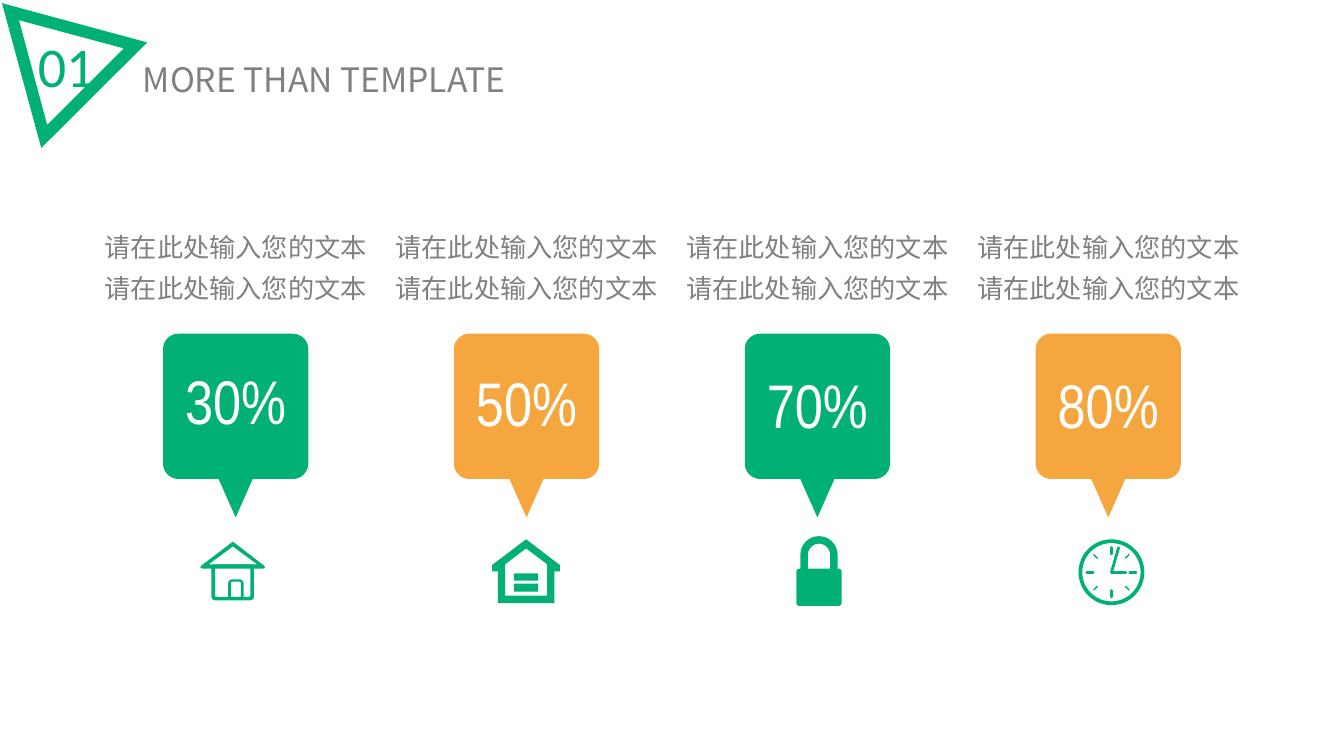
from dataclasses import dataclass
from math import cos, radians, sin

from lxml import etree
from pptx import Presentation
from pptx.dml.color import RGBColor
from pptx.enum.shapes import MSO_CONNECTOR, MSO_SHAPE
from pptx.enum.text import MSO_ANCHOR, MSO_AUTO_SIZE, PP_ALIGN
from pptx.oxml.ns import qn
from pptx.util import Cm, Pt

STRAIGHT = MSO_CONNECTOR.STRAIGHT
DONUT = MSO_SHAPE.DONUT
CENTER = PP_ALIGN.CENTER
TOP, MIDDLE = MSO_ANCHOR.TOP, MSO_ANCHOR.MIDDLE
GROW = MSO_AUTO_SIZE.SHAPE_TO_FIT_TEXT

Point = tuple[float, float]
Contour = list[Point]


@dataclass(frozen=True)
class Theme:
    green: RGBColor = RGBColor(0x00, 0xB0, 0x75)
    orange: RGBColor = RGBColor(0xF5, 0xA6, 0x3E)
    gray: RGBColor = RGBColor(0x80, 0x80, 0x80)
    white: RGBColor = RGBColor(0xFF, 0xFF, 0xFF)
    cjk_font: str = "Noto Sans CJK SC"
    percent_font: str = "Arial Narrow"
    number_font: str = "Calibri"
    percent_size: float = 44
    number_size: float = 40
    title_size: float = 24
    caption_size: float = 18.7


@dataclass(frozen=True)
class Card:
    percent: str
    percent_top: float
    color: RGBColor


THEME = Theme()
CARDS = [
    Card("30%", 9.02, THEME.green),
    Card("50%", 9.07, THEME.orange),
    Card("70%", 9.12, THEME.green),
    Card("80%", 9.12, THEME.orange),
]
CAPTION = ["请在此处输入您的文本"] * 2
FIRST_CENTER, PITCH = 5.94, 7.33
CARD_TOP, CARD_SIDE, CARD_RADIUS = 8.41, 3.66, 0.39
TAIL_HALF, TAIL_HEIGHT = 0.43, 0.97


def arc(x: float, y: float, radius: float, start: int, end: int, steps: int = 12) -> Contour:
    """Points on a circle; angles in degrees, clockwise from the right."""
    angles = [radians(start + (end - start) * i / steps) for i in range(steps + 1)]
    return [(x + radius * cos(a), y + radius * sin(a)) for a in angles]


def rounded_box(left: float, top: float, width: float, height: float, radius: float) -> Contour:
    """Outline that runs clockwise from the bottom left to the bottom right."""
    x1, x2 = left + radius, left + width - radius
    y1, y2 = top + radius, top + height - radius
    return (arc(x1, y2, radius, 90, 180) + arc(x1, y1, radius, 180, 270)
            + arc(x2, y1, radius, 270, 360) + arc(x2, y2, radius, 0, 90))


def box(left: float, top: float, right: float, bottom: float) -> Contour:
    return [(left, top), (right, top), (right, bottom), (left, bottom)]


def add_outline(slide, color: RGBColor, *contours: Contour) -> None:
    """Filled shape; a contour inside another one cuts a hole."""
    paths = [[(Cm(x), Cm(y)) for x, y in contour] for contour in contours]
    builder = slide.shapes.build_freeform(*paths[0][0])
    builder.add_line_segments(paths[0][1:], close=True)
    for points in paths[1:]:
        builder.move_to(*points[0])
        builder.add_line_segments(points[1:], close=True)
    style_fill(builder.convert_to_shape(), color)


def style_fill(shape, color: RGBColor) -> None:
    shape.shadow.inherit = False
    shape.fill.solid()
    shape.fill.fore_color.rgb = color
    shape.line.fill.background()


def add_text(slide, lines: list[str], *, left: float, top: float, width: float,
             height: float, font: str, size: float, color: RGBColor,
             anchor: MSO_ANCHOR = TOP, wrap: bool = True, spacing: float = 1.0) -> None:
    frame = slide.shapes.add_textbox(Cm(left), Cm(top), Cm(width), Cm(height)).text_frame
    frame.word_wrap = wrap
    frame.auto_size = GROW
    frame.vertical_anchor = anchor
    for index, line in enumerate(lines):
        paragraph = frame.add_paragraph() if index else frame.paragraphs[0]
        paragraph.alignment = CENTER
        paragraph.line_spacing = spacing
        run = paragraph.add_run()
        run.text = line
        run.font.size = Pt(size)
        run.font.color.rgb = color
        run.font.name = font
        etree.SubElement(run._r.get_or_add_rPr(), qn("a:ea"), typeface=font)


def add_stroke(slide, start: Point, end: Point, width: float) -> None:
    stroke = slide.shapes.add_connector(
        STRAIGHT, Cm(start[0]), Cm(start[1]), Cm(end[0]), Cm(end[1]))
    stroke.line.color.rgb = THEME.green
    stroke.line.width = Pt(width)
    properties = stroke._element.spPr
    properties.find(qn("a:ln")).set("cap", "rnd")
    etree.SubElement(properties, qn("a:effectLst"))


def draw_header(slide) -> None:
    add_text(slide, ["01"], left=0.69, top=0.66, width=1.96, height=1.96,
             font=THEME.number_font, size=THEME.number_size, color=THEME.green,
             anchor=MIDDLE, wrap=False)
    add_outline(slide, THEME.green,
                [(0.05, 0.08), (3.71, 1.07), (1.04, 3.73)],
                [(0.48, 0.51), (1.19, 3.15), (3.12, 1.22)])
    add_text(slide, ["MORE THAN TEMPLATE"], left=2.06, top=1.35, width=12.22, height=1.3,
             font=THEME.cjk_font, size=THEME.title_size, color=THEME.gray, anchor=MIDDLE)


def draw_card(slide, card: Card, center: float) -> None:
    bottom = CARD_TOP + CARD_SIDE
    tail = [(center + TAIL_HALF, bottom), (center, bottom + TAIL_HEIGHT),
            (center - TAIL_HALF, bottom)]
    body = rounded_box(center - CARD_SIDE / 2, CARD_TOP, CARD_SIDE, CARD_SIDE, CARD_RADIUS)
    add_outline(slide, card.color, body + tail)
    add_text(slide, [card.percent], left=center - 1.64, top=card.percent_top,
             width=3.28, height=2.13, font=THEME.percent_font,
             size=THEME.percent_size, color=THEME.white, wrap=False)
    add_text(slide, CAPTION, left=center - 3.71, top=5.46, width=7.42, height=2.34,
             font=THEME.cjk_font, size=THEME.caption_size, color=THEME.gray, spacing=1.3)


def draw_cottage(slide) -> None:
    roof = [(5.05, 14.3), (5.08, 14.25), (5.87, 13.65), (6.65, 14.25),
            (6.68, 14.3), (6.63, 14.33), (5.11, 14.33)]
    attic = [(5.26, 14.22), (5.87, 13.77), (6.48, 14.22)]
    add_outline(slide, THEME.green, rounded_box(5.33, 14.22, 1.07, 0.91, 0.1),
                rounded_box(5.42, 14.31, 0.89, 0.73, 0.03))
    add_outline(slide, THEME.green, roof, attic)
    add_outline(slide, THEME.green, rounded_box(5.75, 14.6, 0.39, 0.51, 0.11),
                rounded_box(5.82, 14.66, 0.25, 0.4, 0.03))


def draw_house(slide) -> None:
    walls = [(13.26, 13.59), (14.11, 14.24), (14.11, 14.4), (13.97, 14.4), (13.97, 15.2),
             (12.55, 15.2), (12.55, 14.4), (12.4, 14.4), (12.4, 14.24)]
    room = [(12.73, 15.01), (12.73, 14.22), (13.26, 13.82), (13.79, 14.22), (13.79, 15.01)]
    add_outline(slide, THEME.green, walls, room,
                box(12.95, 14.45, 13.56, 14.63), box(12.95, 14.71, 13.56, 14.91))


def draw_lock(slide) -> None:
    x, y, outer, inner, foot = 20.64, 13.98, 0.47, 0.28, 14.4
    shackle = ([(x - outer, foot)] + arc(x, y, outer, 180, 360) + [(x + outer, foot)]
               + [(x + inner, foot)] + arc(x, y, inner, 360, 180) + [(x - inner, foot)])
    add_outline(slide, THEME.green, shackle)
    add_outline(slide, THEME.green, rounded_box(20.07, 14.33, 1.14, 0.94, 0.08))


def draw_clock(slide) -> None:
    x, y, radius = 28.01, 14.42, 0.83
    rim = slide.shapes.add_shape(
        DONUT, Cm(x - radius), Cm(y - radius), Cm(2 * radius), Cm(2 * radius))
    rim.adjustments[0] = 0.057
    style_fill(rim, THEME.green)
    for angle in range(0, 360, 45):
        inner, outer, width = (0.5, 0.63, 1) if angle % 90 else (0.46, 0.62, 2)
        dx, dy = cos(radians(angle)), sin(radians(angle))
        add_stroke(slide, (x + inner * dx, y + inner * dy),
                   (x + outer * dx, y + outer * dy), width)
    for hand_tip in [(28.19, 13.8), (28.37, y)]:
        add_stroke(slide, (x, y), hand_tip, 2)


def main() -> None:
    deck = Presentation()
    deck.slide_width, deck.slide_height = Cm(33.87), Cm(19.05)
    slide = deck.slides.add_slide(deck.slide_layouts[6])
    draw_header(slide)
    for index, card in enumerate(CARDS):
        draw_card(slide, card, FIRST_CENTER + index * PITCH)
    for draw_icon in (draw_cottage, draw_house, draw_lock, draw_clock):
        draw_icon(slide)
    deck.save("out.pptx")


if __name__ == "__main__":
    main()
